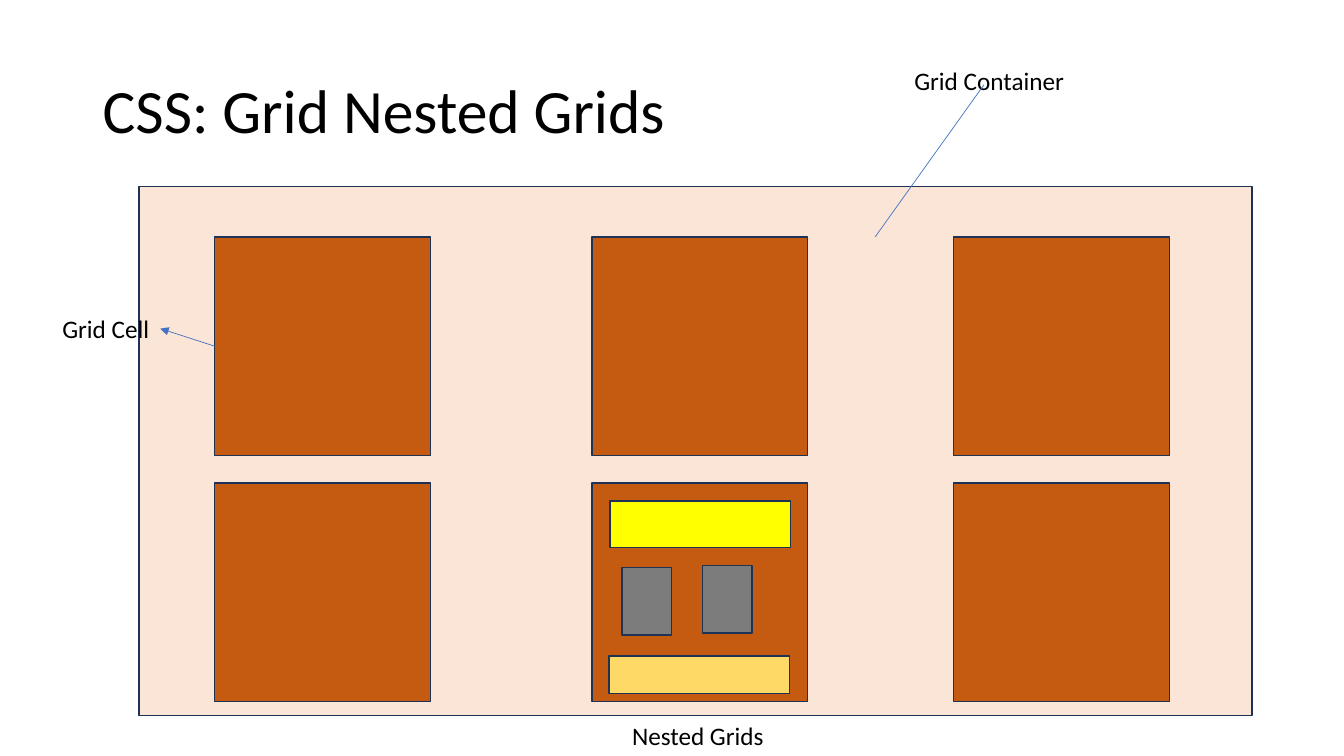
import pptx
import pptx.dml.color
import pptx.enum.shapes
import pptx.enum.text
import pptx.oxml
import pptx.oxml.ns
import pptx.util

PX = 9144  # EMU in one px, 100 px to the inch
COLOURS = {
    "text": "000000",
    "outline": "1E3256",
    "pointer": "4472C4",
    "container": "FBE5D6",
    "cell": "C55A11",
    "header": "FFFF00",
    "column": "7C7C7C",
    "footer": "FFD966",
}
CELL_WIDTH, CELL_HEIGHT = 214, 217
CELL_LEFTS = (213, 587, 946)
CELL_TOPS = (235, 479)


def colour(name):
    return pptx.dml.color.RGBColor.from_string(COLOURS[name])


def emu(*lengths):
    return [pptx.util.Emu(length * PX) for length in lengths]


class SlideBuilder:
    font = "Calibri"

    def __init__(self, slide):
        self.slide = slide

    def rectangle(self, left, top, width, height, fill):
        shape = self.slide.shapes.add_shape(
            pptx.enum.shapes.MSO_SHAPE.RECTANGLE, *emu(left, top, width, height))
        shape.shadow.inherit = False
        shape.fill.solid()
        shape.fill.fore_color.rgb = colour(fill)
        shape.line.color.rgb = colour("outline")
        shape.line.width = pptx.util.Pt(1)
        return shape

    def text(self, left, top, width, height, words, size):
        box = self.slide.shapes.add_textbox(*emu(left, top, width, height))
        run = box.text_frame.paragraphs[0].add_run()
        run.text = words
        run.font.name = self.font
        run.font.size = pptx.util.Pt(size)
        run.font.color.rgb = colour("text")
        return box

    def title(self, left, top, width, height, words):
        box = self.text(left, top, width, height, words, 44)
        box.text_frame.word_wrap = True
        box.text_frame.vertical_anchor = pptx.enum.text.MSO_ANCHOR.MIDDLE
        box.text_frame.paragraphs[0].line_spacing = 0.9

    def label(self, left, top, width, words):
        box = self.text(left, top, width, 40, words, 18)
        box.text_frame.word_wrap = False
        box.text_frame.auto_size = pptx.enum.text.MSO_AUTO_SIZE.SHAPE_TO_FIT_TEXT
        return box

    def pointer(self, start, end, arrow=False):
        line = self.slide.shapes.add_connector(
            pptx.enum.shapes.MSO_CONNECTOR.STRAIGHT, *emu(*start, *end))
        line.line.color.rgb = colour("pointer")
        line.line.width = pptx.util.Pt(0.5)
        if arrow:
            tail = pptx.oxml.parse_xml(
                f'<a:tailEnd {pptx.oxml.ns.nsdecls("a")} type="triangle"/>')
            line.line._get_or_add_ln().append(tail)
        properties = line._element.spPr
        properties.append(pptx.oxml.parse_xml(
            f'<a:effectLst {pptx.oxml.ns.nsdecls("a")}/>'))
        return line


def main():
    presentation = pptx.Presentation()
    presentation.slide_width, presentation.slide_height = emu(1333, 750)
    builder = SlideBuilder(
        presentation.slides.add_slide(presentation.slide_layouts[6]))

    builder.title(92, 40, 1150, 145, "CSS: Grid Nested Grids")
    builder.rectangle(138, 185, 1104, 525, "container")
    cells = [builder.rectangle(left, top, CELL_WIDTH, CELL_HEIGHT, "cell")
             for top in CELL_TOPS for left in CELL_LEFTS]

    for nested in ((605, 497, 179, 46, "header"),
                   (617, 563, 49, 67, "column"),
                   (697, 561, 49, 67, "column"),
                   (604, 651, 179, 37, "footer")):
        builder.rectangle(*nested)

    builder.label(897, 60, 170, "Grid Container")
    builder.pointer((976, 84), (868, 235))
    cell_label = builder.label(52, 306, 107, "Grid Cell")
    cell_pointer = builder.pointer((213, 344), (160, 327), arrow=True)
    cell_pointer.begin_connect(cells[0], 1)
    cell_pointer.end_connect(cell_label, 3)
    builder.label(617, 710, 152, "Nested Grids")

    presentation.save("out.pptx")


if __name__ == "__main__":
    main()
